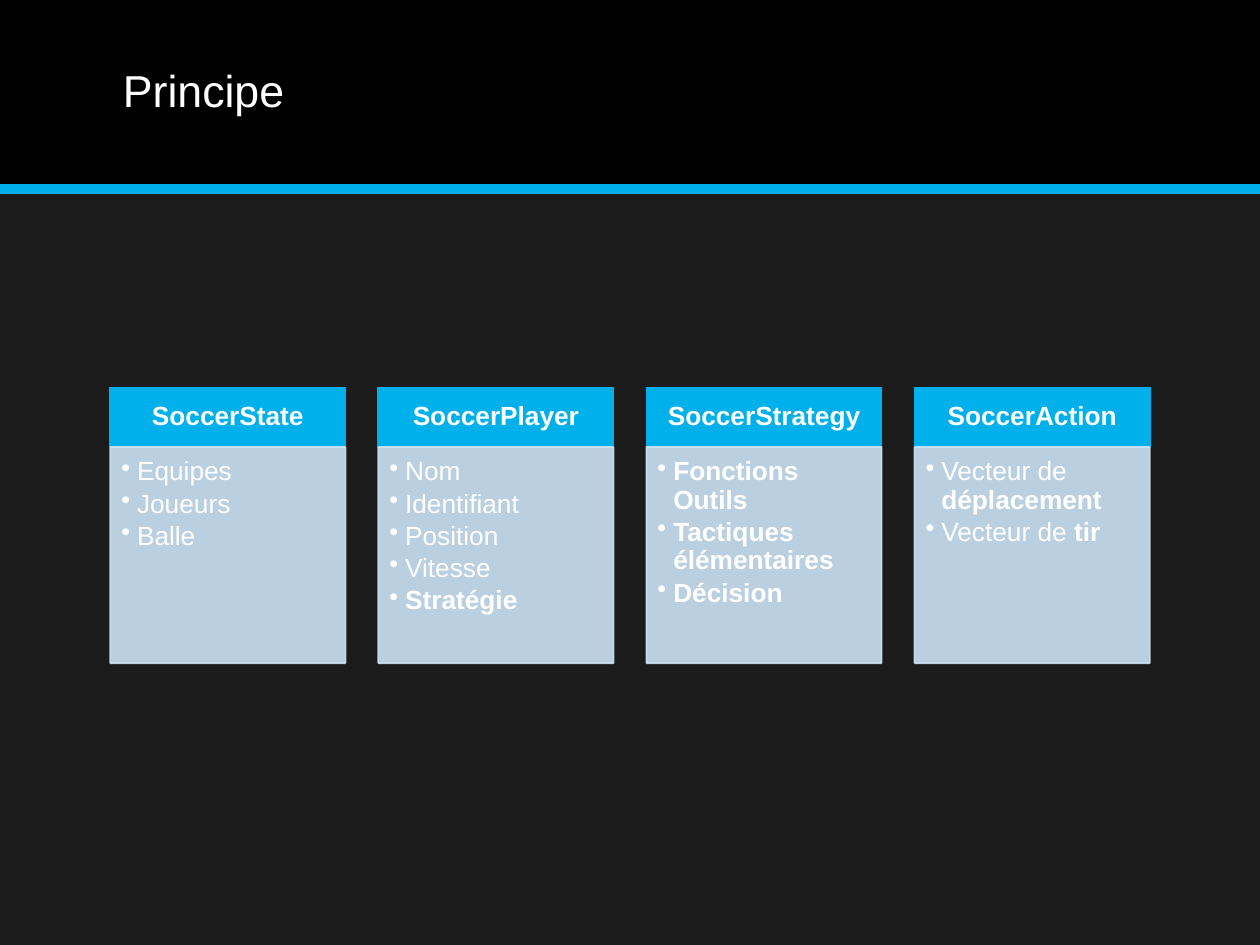
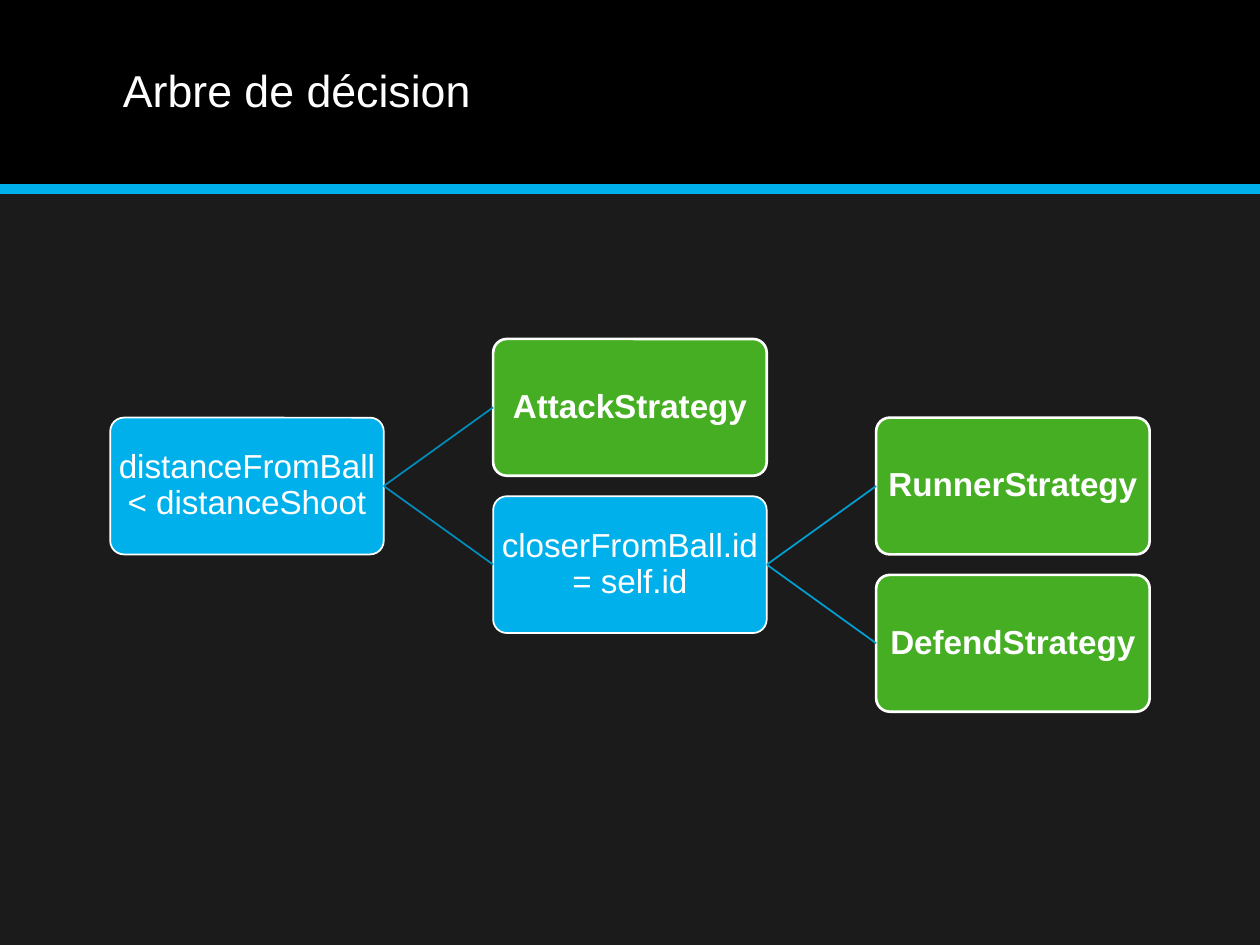
from lxml import etree
from pptx import Presentation
from pptx import util as u
from pptx.dml.color import RGBColor
from pptx.enum import shapes, text
from pptx.oxml.ns import qn

Pt = u.Pt
BLUE, GREEN, PALE = "00B0EA", "45AE22", "CCE4F7"
WHITE, BLACK, DARK = "FFFFFF", "000000", "1B1B1B"
LEFT, SPAN = 63, 594


def rgb(code):
    """Turn a hex string into a colour."""
    return RGBColor.from_string(code)


class Deck:
    """Hold the style and the current slide."""

    font = "Arial"

    def __init__(self):
        """Start a presentation on a dark ground."""
        self.prs = Presentation()
        self.prs.slide_width, self.prs.slide_height = Pt(720), Pt(540)
        fill = self.prs.slide_master.background.fill
        fill.solid()
        fill.fore_color.rgb = rgb(DARK)

    def page(self, name):
        """Add a slide with its band, rule and title."""
        self.slide = self.prs.slides.add_slide(self.prs.slide_layouts[5])
        head = self.slide.shapes.title
        band = self.box((0, 0, 720, 108), BLACK)
        rule = self.line((0, 108, 720, 108), BLUE, 6)
        for part in (band, rule):
            head._element.addprevious(part._element)
        head.left, head.top, head.width, head.height = map(Pt, (LEFT, 10, SPAN, 86.4))
        frame = head.text_frame
        frame.auto_size = text.MSO_AUTO_SIZE.NONE
        self.label(frame, [name], 25.5, (7.2, 3.6, 7.2, 3.6), align="LEFT")

    def box(self, at, fill, edge=None, thick=1, kind="RECTANGLE"):
        """Add a filled shape."""
        shape = self.slide.shapes.add_shape(shapes.MSO_SHAPE[kind], *map(Pt, at))
        shape.shadow.inherit = False
        shape.fill.solid()
        shape.fill.fore_color.rgb = rgb(fill)
        if edge:
            shape.line.color.rgb = rgb(edge)
            shape.line.width = Pt(thick)
        else:
            shape.line.fill.background()
        return shape

    def fade(self, shape, share):
        """Make fill and edge partly clear."""
        for tag in shape._element.spPr.iter(qn("a:srgbClr")):
            etree.SubElement(tag, qn("a:alpha")).set("val", str(share * 1000))

    def line(self, at, color, thick=1):
        """Add a straight connector."""
        link = self.slide.shapes.add_connector(shapes.MSO_CONNECTOR.STRAIGHT, *map(Pt, at))
        link.line.color.rgb = rgb(color)
        link.line.width = Pt(thick)
        etree.SubElement(link._element.spPr, qn("a:effectLst"))
        return link

    def tie(self, start, end, color):
        """Link the right side of one box to the left of another."""
        link = self.line((0, 0, 0, 0), color)
        link.begin_connect(start, 3)
        link.end_connect(end, 1)

    def label(self, frame, items, size, pad, align="CENTER", anchor="MIDDLE", after=0, dots=False):
        """Fill a frame; the part of an item after a star is bold."""
        frame.word_wrap = True
        frame.vertical_anchor = text.MSO_ANCHOR[anchor]
        frame.margin_left, frame.margin_top, frame.margin_right, frame.margin_bottom = map(Pt, pad)
        frame.text = "\n".join(item.split("*")[0] for item in items)
        for para, item in zip(frame.paragraphs, items):
            if "*" in item:
                run = para.add_run()
                run.text = item.split("*")[1]
                run.font.bold = True
            para.alignment = text.PP_ALIGN[align]
            para.line_spacing = 0.9
            para.space_before, para.space_after = Pt(0), Pt(after)
            if dots:
                self.dot(para)
            for run in para.runs:
                run.font.name, run.font.size = self.font, Pt(size)
                run.font.color.rgb = rgb(WHITE)

    def dot(self, para):
        """Give a paragraph a hanging bullet."""
        props = para._p.get_or_add_pPr()
        props.set("marL", str(Pt(9)))
        props.set("indent", str(Pt(-9)))
        etree.SubElement(props, qn("a:buChar")).set("char", "•")

    def card(self, at, name, items):
        """Add a headed panel with a bullet list."""
        left, top, wide, high = at
        head = self.box((left, top, wide, 34), BLUE, BLUE)
        self.label(head.text_frame, ["*" + name], 15, (8.4, 4.8, 8.4, 4.8))
        body = self.box((left, top + 34, wide, high - 34), PALE, PALE)
        self.fade(body, 90)
        self.label(body.text_frame, items, 15, (6.3, 6.3, 8.4, 9.45),
                   "LEFT", "TOP", 2.25, True)

    def node(self, at, words, leaf):
        """Add a rounded box of the tree."""
        fill, thick = (GREEN, 1.5) if leaf else (BLUE, 1)
        shape = self.box(at, fill, WHITE, thick, "ROUNDED_RECTANGLE")
        shape.adjustments[0] = 0.1
        self.label(shape.text_frame, ["*" + words if leaf else words], 19, (0.8,) * 4)
        return shape


CARDS = {
    "SoccerState": ["Equipes", "Joueurs", "Balle"],
    "SoccerPlayer": ["Nom", "Identifiant", "Position", "Vitesse", "*Stratégie"],
    "SoccerStrategy": ["*Fonctions Outils", "*Tactiques élémentaires", "*Décision"],
    "SoccerAction": ["Vecteur de *déplacement", "Vecteur de *tir"],
}
NODES = {
    "shoot": (0, 0.5, "distanceFromBall < distanceShoot", False),
    "attack": (1, 0, "AttackStrategy", True),
    "closer": (1, 1, "closerFromBall.id = self.id", False),
    "runner": (2, 0.5, "RunnerStrategy", True),
    "defend": (2, 1.5, "DefendStrategy", True),
}
LINKS = [
    ("shoot", "attack", "008DBB"), ("shoot", "closer", "008DBB"),
    ("closer", "runner", "00A0D4"), ("closer", "defend", "00A0D4"),
]


def main():
    """Build both slides and save them."""
    deck = Deck()

    deck.page("Principe")
    wide = SPAN / (4 + 3 * 0.14)
    for col, (name, items) in enumerate(CARDS.items()):
        deck.card((LEFT + col * wide * 1.14, 221.5, wide, 157.5), name, items)

    deck.page("Arbre de décision")
    wide = SPAN / (3 + 2 * 0.4)
    high = wide / 2
    nodes = {}
    for key, (col, row, words, leaf) in NODES.items():
        at = (LEFT + col * wide * 1.4, 193.7 + row * high * 1.15, wide, high)
        nodes[key] = deck.node(at, words, leaf)
    for start, end, color in LINKS:
        deck.tie(nodes[start], nodes[end], color)

    deck.prs.save("out.pptx")


if __name__ == "__main__":
    main()
